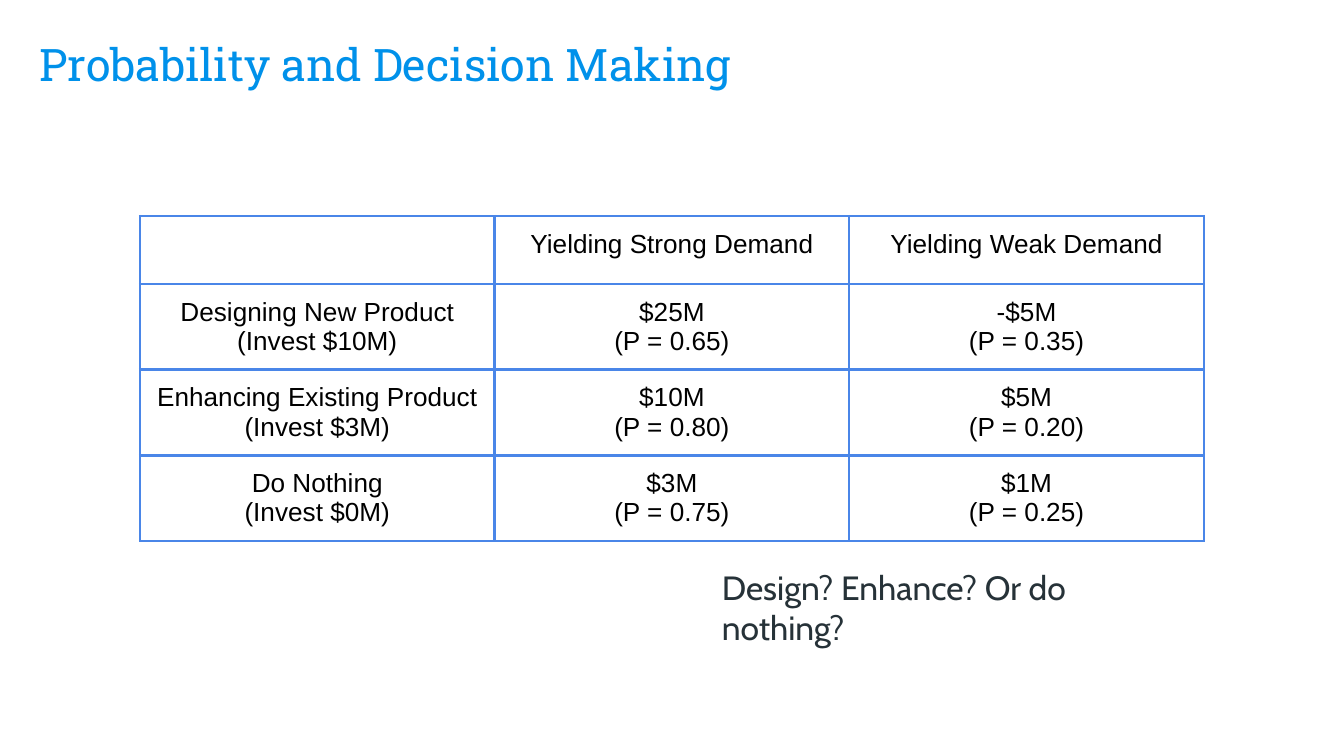
import dataclasses

import lxml.etree
import pptx
import pptx.dml.color
import pptx.enum.text
import pptx.oxml.ns
import pptx.util

Pt = pptx.util.Pt
Align = pptx.enum.text.PP_ALIGN
Anchor = pptx.enum.text.MSO_ANCHOR


@dataclasses.dataclass(frozen=True)
class Theme:
    title_font: str = "Roboto Slab"
    table_font: str = "Arial"
    body_font: str = "Cabin"
    title_size: float = 24
    table_size: float = 14
    body_size: float = 18
    title_color: str = "0091EA"
    table_color: str = "000000"
    body_color: str = "263238"
    border_color: str = "4A86E8"
    border_width: float = 1.5
    inset: float = 7.2


THEME = Theme()

TITLE = "Probability and Decision Making"
QUESTION = "Design? Enhance? Or do nothing?"
PAYOFFS = [
    ["", "Yielding Strong Demand", "Yielding Weak Demand"],
    ["Designing New Product (Invest $10M)", "$25M\n(P = 0.65)", "-$5M\n(P = 0.35)"],
    ["Enhancing Existing Product\n(Invest $3M)", "$10M\n(P = 0.80)", "$5M\n(P = 0.20)"],
    ["Do Nothing\n(Invest $0M)", "$3M\n(P = 0.75)", "$1M\n(P = 0.25)"],
]


def format_text(frame, font, size, color, align):
    for para in frame.paragraphs:
        para.alignment = align
        para.space_before = Pt(0)
        for span in para.runs:
            span.font.name = font
            span.font.size = Pt(size)
            span.font.color.rgb = pptx.dml.color.RGBColor.from_string(color)


def set_insets(target):
    target.margin_left = target.margin_right = Pt(THEME.inset)
    target.margin_top = target.margin_bottom = Pt(THEME.inset)


def add_element(parent, tag, **attributes):
    return lxml.etree.SubElement(parent, pptx.oxml.ns.qn(tag), attributes)


def fill_placeholder(holder, box, text, anchor):
    holder.left, holder.top, holder.width, holder.height = map(Pt, box)
    frame = holder.text_frame
    frame.text = text
    frame.word_wrap = True
    frame.auto_size = pptx.enum.text.MSO_AUTO_SIZE.NONE
    frame.vertical_anchor = anchor
    set_insets(frame)
    return frame


def place_title(page, box):
    frame = fill_placeholder(page.shapes.title, box, TITLE, Anchor.BOTTOM)
    format_text(frame, THEME.title_font, THEME.title_size, THEME.title_color, Align.LEFT)


def place_question(page, box):
    frame = fill_placeholder(page.placeholders[1], box, QUESTION, Anchor.TOP)
    properties = frame.paragraphs[0]._p.get_or_add_pPr()
    properties.set("marL", "0")
    properties.set("indent", "0")
    add_element(properties, "a:buNone")
    format_text(frame, THEME.body_font, THEME.body_size, THEME.body_color, Align.LEFT)


def draw_borders(cell):
    properties = cell._tc.get_or_add_tcPr()
    for side in ("a:lnL", "a:lnR", "a:lnT", "a:lnB"):
        line = add_element(properties, side, w=str(Pt(THEME.border_width)))
        fill = add_element(line, "a:solidFill")
        add_element(fill, "a:srgbClr", val=THEME.border_color)


def place_payoffs(page, box, header_height):
    left, top, width, height = box
    row_count, column_count = len(PAYOFFS), len(PAYOFFS[0])
    table = page.shapes.add_table(row_count, column_count, *map(Pt, box)).table
    table.first_row = table.horz_banding = False
    for column in table.columns:
        column.width = Pt(width / column_count)
    for index, row in enumerate(table.rows):
        body_height = (height - header_height) / (row_count - 1)
        row.height = Pt(body_height if index else header_height)
        for cell, text in zip(row.cells, PAYOFFS[index]):
            cell.text = text
            set_insets(cell)
            draw_borders(cell)
            cell.fill.background()
            format_text(cell.text_frame, THEME.table_font, THEME.table_size,
                        THEME.table_color, Align.CENTER)


def build_page(deck):
    page = deck.slides.add_slide(deck.slide_layouts[1])
    place_title(page, (14, 0, 596, 55.5))
    place_payoffs(page, (75, 115.75, 570, 172), 34.75)
    place_question(page, (379.5, 296.5, 265.5, 45.5))


def main():
    deck = pptx.Presentation()
    deck.slide_width, deck.slide_height = Pt(720), Pt(405)
    build_page(deck)
    deck.save("out.pptx")


if __name__ == "__main__":
    main()
